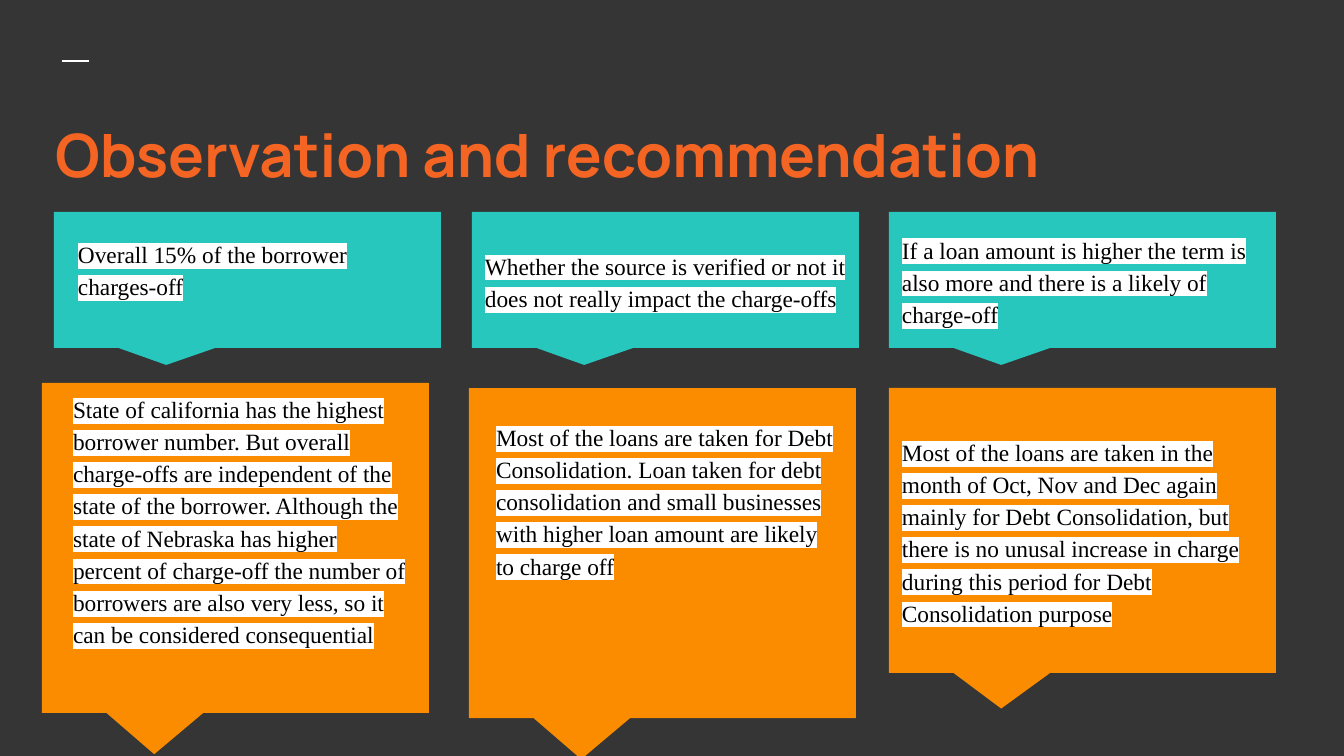
"""Build the loan observation and recommendation slide."""
from typing import NamedTuple, Optional

from lxml.etree import SubElement
from pptx import Presentation
from pptx.dml.color import RGBColor
from pptx.enum.shapes import MSO_CONNECTOR as Connector, MSO_SHAPE as Shape
from pptx.enum.text import MSO_ANCHOR as Anchor, MSO_AUTO_SIZE as AutoSize, PP_ALIGN as Align
from pptx.oxml.ns import qn
from pptx.util import Emu, Pt

TEAL, ORANGE, TITLE_COLOR = "27C7BD", "FB8C00", "F46524"
BACKGROUND, WHITE, BLACK = "353535", "FFFFFF", "000000"
CALLOUT_WIDTH, TEAL_TOP, TEAL_HEIGHT = 387, 212, 136
INSET = 13


class Box(NamedTuple):
    left: int
    top: int
    width: int
    height: int


class Callout(NamedTuple):
    box: Box
    color: str
    text: str
    text_box: Optional[Box] = None


def teal(left: int, text: str, text_box: Optional[Box] = None) -> Callout:
    """Describe a callout of the upper row."""
    return Callout(Box(left, TEAL_TOP, CALLOUT_WIDTH, TEAL_HEIGHT), TEAL, text, text_box)


def orange(left: int, top: int, height: int, text: str, text_box: Optional[Box] = None) -> Callout:
    """Describe a callout of the lower row."""
    return Callout(Box(left, top, CALLOUT_WIDTH, height), ORANGE, text, text_box)


CALLOUTS = [
    teal(54, "Overall 15% of the borrower charges-off", Box(65, 223, 364, 116)),
    teal(472, "Whether the source is verified or not it does not really impact the charge-offs"),
    teal(889, "If a loan amount is higher the term is also more and there is a likely of charge-off"),
    orange(42, 383, 330,
           "State of california has the highest borrower number. But overall charge-offs are "
           "independent of the state of the borrower. Although the state of Nebraska has higher "
           "percent of charge-off the number of borrowers are also very less, so it can be "
           "considered consequential", Box(60, 378, 364, 294)),
    orange(469, 388, 330,
           "Most of the loans are taken for Debt Consolidation. Loan taken for debt consolidation "
           "and small businesses with higher loan amount are likely to charge off",
           Box(483, 406, 364, 294)),
    orange(889, 388, 285,
           "Most of the loans are taken in the month of Oct, Nov and Dec again mainly for Debt "
           "Consolidation, but there is no unusal increase in charge during this period for Debt "
           "Consolidation purpose"),
]


def px(length: int) -> Emu:
    """Convert pixels to EMU."""
    return Emu(round(length * 914400 / 134.4))


def rgb(value: str) -> RGBColor:
    """Convert a hex string to a colour."""
    return RGBColor.from_string(value)


def place(box: Box) -> list[Emu]:
    """Return a box as EMU lengths."""
    return [px(length) for length in box]


def set_frame(text_frame, anchor: Anchor) -> None:
    """Set wrapping, insets and anchor of a text frame."""
    text_frame.word_wrap = True
    text_frame.auto_size = AutoSize.NONE
    text_frame.vertical_anchor = anchor
    text_frame.margin_left = text_frame.margin_right = px(INSET)
    text_frame.margin_top = text_frame.margin_bottom = px(INSET)


def format_run(run, font_name: str, size: float, color: str, bold: bool = False) -> None:
    """Set the font of a run."""
    run.font.name, run.font.size, run.font.bold = font_name, Pt(size), bold
    run.font.color.rgb = rgb(color)


def highlight(run, color: str) -> None:
    """Put a highlight colour behind a run."""
    properties = run._r.get_or_add_rPr()
    mark = SubElement(properties, qn("a:highlight"))
    SubElement(mark, qn("a:srgbClr"), val=color)
    properties.find(qn("a:solidFill")).addnext(mark)


def write_note(text_frame, text: str, anchor: Anchor) -> None:
    """Write a highlighted observation."""
    set_frame(text_frame, anchor)
    text_frame.text = text
    paragraph = text_frame.paragraphs[0]
    paragraph.alignment = Align.LEFT
    paragraph.line_spacing = 1.15
    run = paragraph.runs[0]
    format_run(run, "Times New Roman", 12.5, BLACK)
    highlight(run, WHITE)


def draw_callout(slide, callout: Callout) -> None:
    """Draw a callout with its observation."""
    shape = slide.shapes.add_shape(Shape.RECTANGULAR_CALLOUT, *place(callout.box))
    shape.adjustments[0], shape.adjustments[1] = -0.21, 0.625
    shape.shadow.inherit = False
    shape.fill.solid()
    shape.fill.fore_color.rgb = rgb(callout.color)
    shape.line.fill.background()
    if callout.text_box:
        text_box = slide.shapes.add_textbox(*place(callout.text_box))
        write_note(text_box.text_frame, callout.text, Anchor.TOP)
    else:
        write_note(shape.text_frame, callout.text, Anchor.MIDDLE)


def draw_dash(slide) -> None:
    """Draw the short line above the title."""
    dash = slide.shapes.add_connector(Connector.STRAIGHT, px(62), px(61), px(89), px(61))
    dash.line.color.rgb = rgb(WHITE)
    dash.line.width = Pt(1.5)
    SubElement(dash._element.spPr, qn("a:effectLst"))


def write_title(slide) -> None:
    """Place and format the slide title."""
    title = slide.shapes.title
    title.left, title.top, title.width, title.height = place(Box(42, 105, 1267, 150))
    set_frame(title.text_frame, Anchor.TOP)
    title.text_frame.text = "Observation and recommendation"
    paragraph = title.text_frame.paragraphs[0]
    paragraph.alignment = Align.LEFT
    format_run(paragraph.runs[0], "Manrope", 32, TITLE_COLOR, bold=True)


def main() -> None:
    """Build and save the presentation."""
    presentation = Presentation()
    presentation.slide_width, presentation.slide_height = px(1344), px(756)
    slide = presentation.slides.add_slide(presentation.slide_layouts[5])
    slide.background.fill.solid()
    slide.background.fill.fore_color.rgb = rgb(BACKGROUND)
    draw_dash(slide)
    write_title(slide)
    for callout in CALLOUTS:
        draw_callout(slide, callout)
    presentation.save("out.pptx")


if __name__ == "__main__":
    main()
